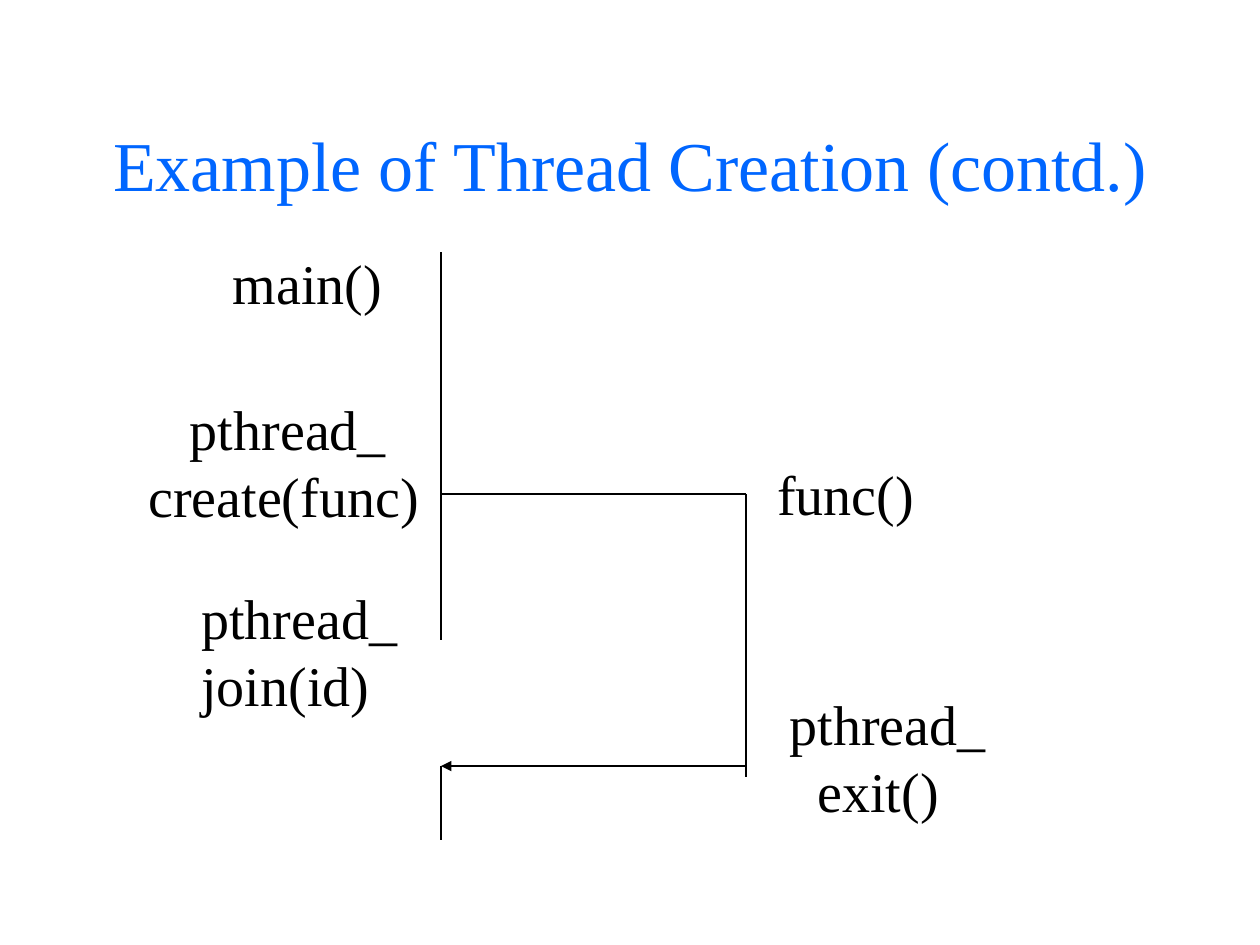
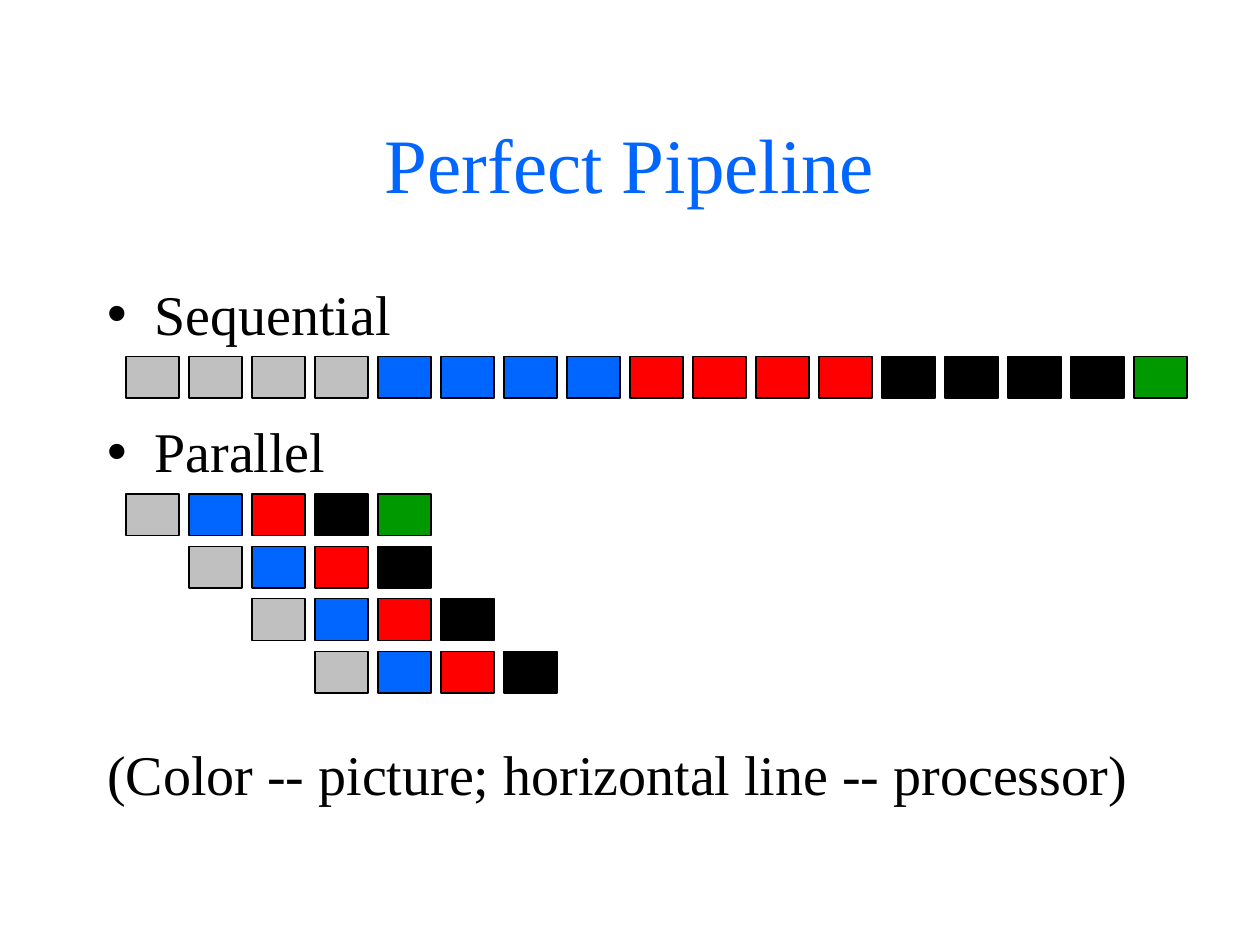
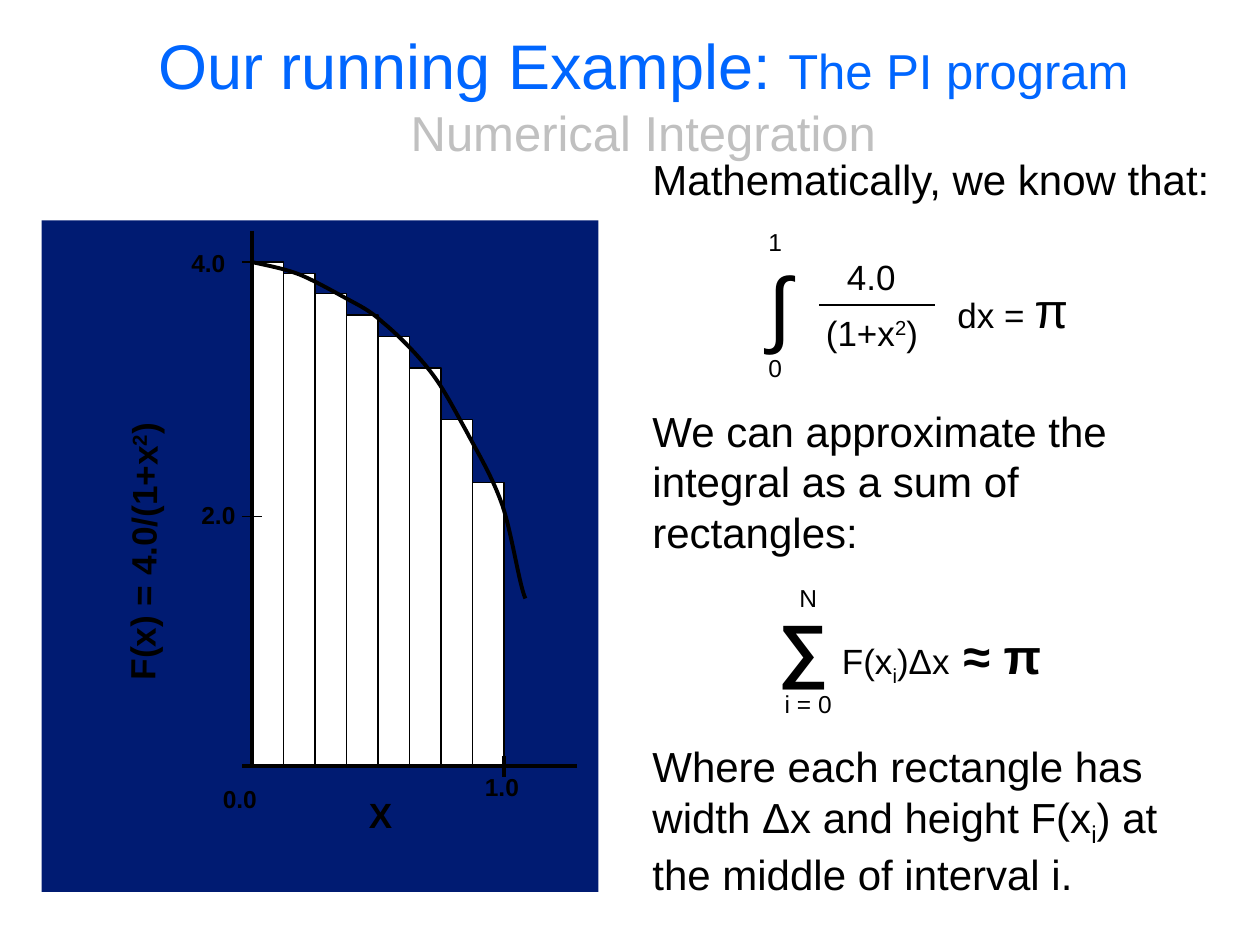
"""Build three slides on threads, pipelines and the PI program."""
from lxml import etree
from pptx import Presentation
from pptx import util as u
from pptx.dml.color import RGBColor
from pptx.enum import shapes, text
from pptx.oxml.ns import qn

COLORS = {
    "black": "000000",
    "white": "FFFFFF",
    "blue": "0066FF",
    "gray": "C0C0C0",
    "red": "FF0000",
    "green": "009900",
    "navy": "001B72",
}
SERIF = {"name": "Times New Roman", "size": u.Pt(32), "bold": False}
SANS = {"name": "Arial", "size": u.Pt(20), "bold": False}
SMALL = {**SANS, "size": u.Pt(14)}
LARGE = {**SANS, "size": u.Pt(24)}
BOLD = {**SANS, "bold": True}
TICK = {**SMALL, "bold": True}
SUPERSCRIPT = {"baseline": 30000}
SUBSCRIPT = {"baseline": -25000}
LEFT, CENTER = text.PP_ALIGN.LEFT, text.PP_ALIGN.CENTER


def place(shape, left, top, width, height):
    """Move and size a shape, in inches."""
    box = {"left": left, "top": top, "width": width, "height": height}
    for name, value in box.items():
        setattr(shape, name, u.Inches(value))


def write(shape, paragraphs, style, align=LEFT, color="black", wrap=True, fit=text.MSO_AUTO_SIZE.NONE):
    """Fill a shape with paragraphs, each a list of (text, changes to the style)."""
    frame = shape.text_frame
    frame.word_wrap, frame.auto_size = wrap, fit
    for index, runs in enumerate(paragraphs):
        paragraph = frame.add_paragraph() if index else frame.paragraphs[0]
        paragraph.alignment = align
        paragraph.space_before = u.Pt(0)
        for content, changes in runs:
            run = paragraph.add_run()
            run.text = content
            values = {**style, **changes}
            tint = values.pop("color", color)
            baseline = values.pop("baseline", None)
            for name, value in values.items():
                setattr(run.font, name, value)
            run.font.color.rgb = RGBColor.from_string(COLORS[tint])
            if baseline:
                run.font._element.set("baseline", str(baseline))


presentation = Presentation()
presentation.slide_width = u.Inches(10)
presentation.slide_height = u.Inches(7.5)

titles = [
    (5, (0.75, 0.67, 8.5, 1.25), {**SERIF, "size": u.Pt(40)},
     [[("Example of Thread Creation (contd.)", {})]]),
    (1, (0.75, 0.67, 8.5, 1.25), {**SERIF, "size": u.Pt(44)},
     [[("Perfect Pipeline", {})]]),
    (5, (0.46, 0.12, 9.29, 1.25), {**SANS, "size": u.Pt(28)},
     [[("Our running Example: ", {"size": u.Pt(36)}), ("The PI program", {})],
      [("Numerical Integration", {"color": "gray"})]]),
]
for layout, box, style, paragraphs in titles:
    slide = presentation.slides.add_slide(presentation.slide_layouts[layout])
    place(slide.shapes.title, *box)
    write(slide.shapes.title, paragraphs, style, CENTER, "blue")
threads, pipeline, integration = presentation.slides

body = pipeline.placeholders[1]
place(body, 0.75, 2.17, 8.5, 4.5)
write(body, [[("Sequential", {})], [("Parallel", {})],
             [("(Color -- picture; horizontal line -- processor)", {})]], SERIF)
parallel, legend = body.text_frame.paragraphs[1:]
parallel.space_before = u.Pt(40)
legend.space_before = u.Pt(146)
etree.SubElement(legend._p.get_or_add_pPr(), qn("a:buNone"))

stages = ["gray", "blue", "red", "black"]
sequence = [color for color in stages for repeat in range(4)] + ["green"]
cells = [(column, 2.83, color) for column, color in enumerate(sequence)]
for row in range(4):
    colors = stages if row else stages + ["green"]
    cells += [(row + step, 3.92 + row * 1.25 / 3, color) for step, color in enumerate(colors)]
rectangles = [(pipeline, (1 + column * 0.5, top, 0.42, 0.33), color, 0.75)
              for column, top, color in cells]

axis_left, axis_bottom, bar_width = 2, 6.08, 0.25
bar_tops = [2.08, 2.17, 2.33, 2.5, 2.67, 2.92, 3.33, 3.83]
rectangles.append((integration, (0.33, 1.75, 4.42, 5.33), "navy", 0))
rectangles += [
    (integration, (axis_left + index * bar_width, top, bar_width, axis_bottom - top), "white", 1)
    for index, top in enumerate(bar_tops)]
for slide, box, fill, weight in rectangles:
    rectangle = slide.shapes.add_shape(shapes.MSO_SHAPE.RECTANGLE, *map(u.Inches, box))
    rectangle.shadow.inherit = False
    rectangle.fill.solid()
    rectangle.fill.fore_color.rgb = RGBColor.from_string(COLORS[fill])
    if weight:
        rectangle.line.color.rgb = RGBColor.from_string(COLORS["black"])
        rectangle.line.width = u.Pt(weight)
    else:
        rectangle.line.fill.background()

main_x, func_x, create_y, exit_y = 3.5, 5.92, 3.92, 6.08
lines = [
    (threads, (main_x, 2, main_x, 5.08), 0.75, False),
    (threads, (main_x, create_y, func_x, create_y), 0.75, False),
    (threads, (func_x, create_y, func_x, 6.17), 0.75, False),
    (threads, (func_x, exit_y, main_x, exit_y), 0.75, True),
    (threads, (main_x, exit_y, main_x, 6.67), 0.75, False),
    (integration, (6.5, 2.42, 7.42, 2.42), 1.5, False),
    (integration, (6.08, 5.17, 6.08, 5.17), 1, False),
    (integration, (axis_left, 1.83, axis_left, axis_bottom), 2.25, False),
    (integration, (1.92, 2.08, 2.08, 2.08), 1, False),
    (integration, (1.92, 4.1, 2.08, 4.1), 1, False),
    (integration, (4.58, axis_bottom, 1.92, axis_bottom), 2.25, False),
    (integration, (4, 6, 4, 6.17), 2.25, False),
]
for slide, ends, weight, arrow in lines:
    connector = slide.shapes.add_connector(shapes.MSO_CONNECTOR.STRAIGHT, *map(u.Inches, ends))
    connector.line.color.rgb = RGBColor.from_string(COLORS["black"])
    connector.line.width = u.Pt(weight)
    properties = connector._element.spPr
    if arrow:
        etree.SubElement(properties.find(qn("a:ln")), qn("a:tailEnd"), type="triangle")
    etree.SubElement(properties, qn("a:effectLst"))

curve_points = [
    (2.13, 2.11), (2.25, 2.13), (2.38, 2.18), (2.5, 2.23), (2.64, 2.31), (2.75, 2.37),
    (2.86, 2.43), (2.93, 2.46), (3.04, 2.56), (3.15, 2.65), (3.3, 2.8), (3.41, 2.94),
    (3.52, 3.08), (3.6, 3.24), (3.7, 3.42), (3.79, 3.59), (3.9, 3.77), (3.98, 3.99),
    (4.06, 4.21), (4.12, 4.64), (4.17, 4.75),
]
builder = integration.shapes.build_freeform(u.Inches(axis_left), u.Inches(2.08))
builder.add_line_segments([(u.Inches(x), u.Inches(y)) for x, y in curve_points], close=False)
curve = builder.convert_to_shape()
curve.shadow.inherit = False
curve.fill.background()
curve.line.color.rgb = RGBColor.from_string(COLORS["black"])
curve.line.width = u.Pt(2.25)
segments = list(curve._element.iter(qn("a:lnTo")))
outline = segments[0].getparent()
for start in range(0, len(segments), 3):
    bezier = etree.SubElement(outline, qn("a:cubicBezTo"))
    for segment in segments[start:start + 3]:
        bezier.append(segment[0])
        outline.remove(segment)

calls = [
    ((1.75, 1.92, 1.4, 0.64), ["main()"], [0]),
    ((1.08, 3.08, 2.37, 1.17), ["pthread_", "create(func)"], [0.33, 0]),
    ((6.07, 3.6, 1.3, 0.64), ["func()"], [0]),
    ((1.5, 4.58, 1.78, 1.17), ["pthread_", "join(id)"], [0, 0]),
    ((6.17, 5.42, 1.78, 1.17), ["pthread_", "exit()"], [0, 0.22]),
]
for box, names, indents in calls:
    label = threads.shapes.add_textbox(*map(u.Inches, box))
    write(label, [[(name, {})] for name in names], SERIF, wrap=False,
          fit=text.MSO_AUTO_SIZE.SHAPE_TO_FIT_TEXT)
    for paragraph, indent in zip(label.text_frame.paragraphs, indents):
        if indent:
            paragraph._p.get_or_add_pPr().set("marL", str(u.Inches(indent)))

notes = [
    ((6, 1.96, 0.42, 1.57), SANS, LEFT, 0, [("∫", {"size": u.Pt(48)})]),
    ((6.29, 1.98, 1.25, 0.44), SANS, CENTER, 0, [("4.0", {})]),
    ((6.21, 2.42, 1.42, 0.44), SANS, CENTER, 0, [("(1+x", {}), ("2", SUPERSCRIPT), (")", {})]),
    ((7.5, 2.17, 1.75, 0.57), SANS, LEFT, 0, [("dx = ", {}), ("π", {"size": u.Pt(28)})]),
    ((6, 2.75, 0.33, 0.34), SMALL, LEFT, 0, [("0", {})]),
    ((6, 1.75, 0.33, 0.34), SMALL, LEFT, 0, [("1", {})]),
    ((6.08, 4.75, 3.58, 0.77), SANS, LEFT, 0,
     [("∑", {"size": u.Pt(40), "bold": True}), (" ", {"size": u.Pt(28), "bold": True}),
      ("F(x", {}), ("i", SUBSCRIPT), (")Δx", {}), (" ≈ π", {"size": u.Pt(28), "bold": True})]),
    ((6.08, 5.42, 0.67, 0.34), SMALL, CENTER, 0, [("i = 0", {})]),
    ((6.08, 4.58, 0.67, 0.34), SMALL, CENTER, 0, [("N", {})]),
    ((5.08, 1.17, 4.67, 0.5), LARGE, LEFT, 0, [("Mathematically, we know that:", {})]),
    ((5.08, 3.17, 4.67, 1.3), LARGE, LEFT, 0,
     [("We can approximate the integral as a sum of rectangles:", {})]),
    ((5.08, 5.83, 4.67, 1.36), LARGE, LEFT, 0,
     [("Where each rectangle has width Δx and height F(x", {}), ("i", SUBSCRIPT),
      (") at the middle of interval i.", {})]),
    ((-0.03, 4.11, 2.33, 0.44), BOLD, LEFT, 270.5,
     [("F(x) = 4.0/(1+x", {}), ("2", SUPERSCRIPT), (")", {})]),
    ((1.42, 1.92, 0.5, 0.34), TICK, LEFT, 0, [("4.0", {})]),
    ((1.5, 3.92, 0.5, 0.34), TICK, LEFT, 0, [("2.0", {})]),
    ((3.75, 6.08, 0.5, 0.34), TICK, LEFT, 0, [("1.0", {})]),
    ((2.83, 6.25, 0.5, 0.44), BOLD, LEFT, 0, [("X", {})]),
    ((1.67, 6.17, 0.5, 0.34), TICK, LEFT, 0, [("0.0", {})]),
]
for box, style, align, rotation, runs in notes:
    note = integration.shapes.add_textbox(*map(u.Inches, box))
    note.rotation = rotation
    write(note, [runs], style, align, fit=text.MSO_AUTO_SIZE.SHAPE_TO_FIT_TEXT)

presentation.save("out.pptx")
